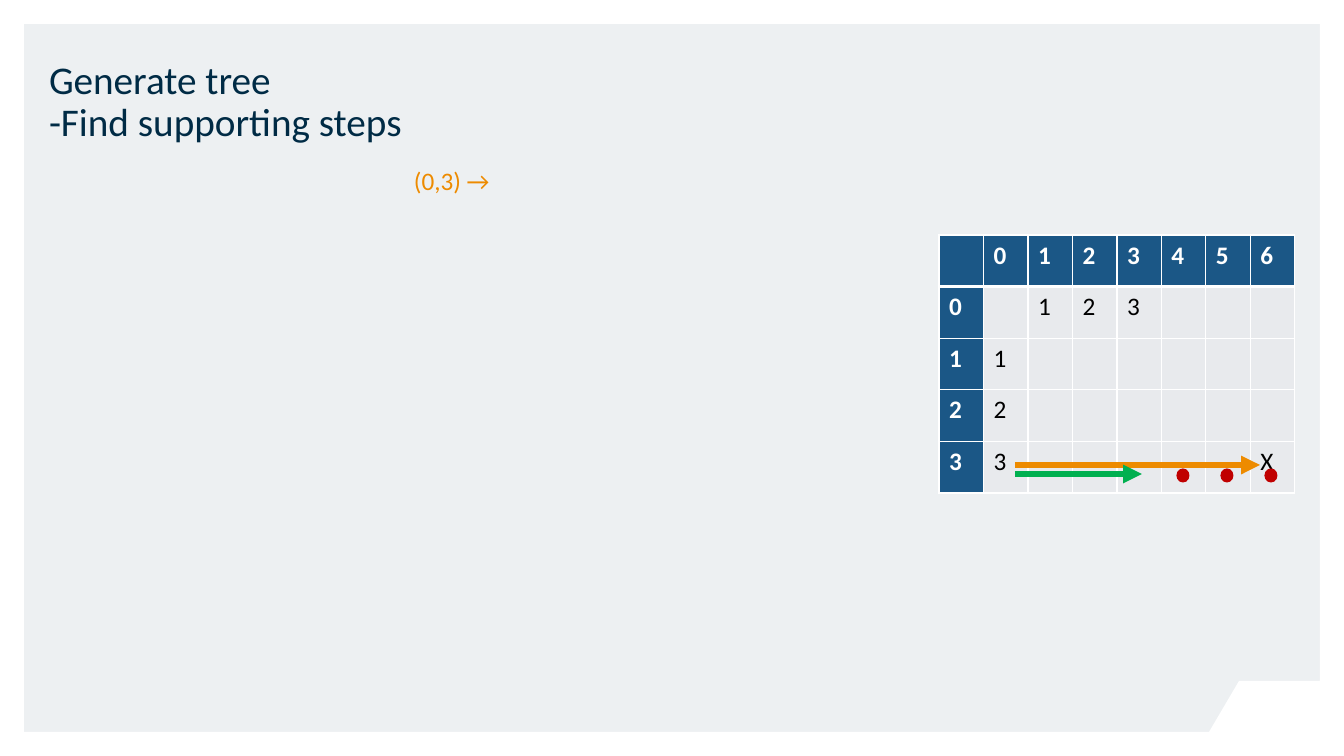
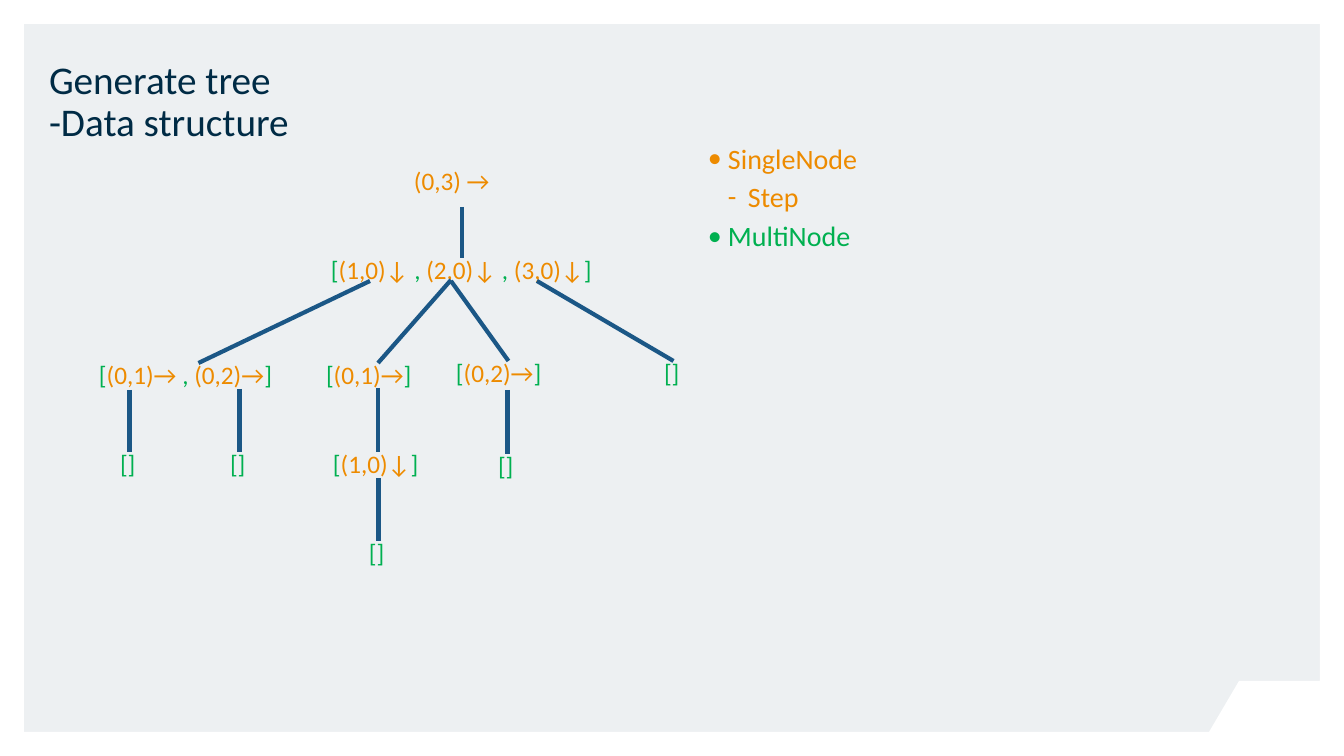
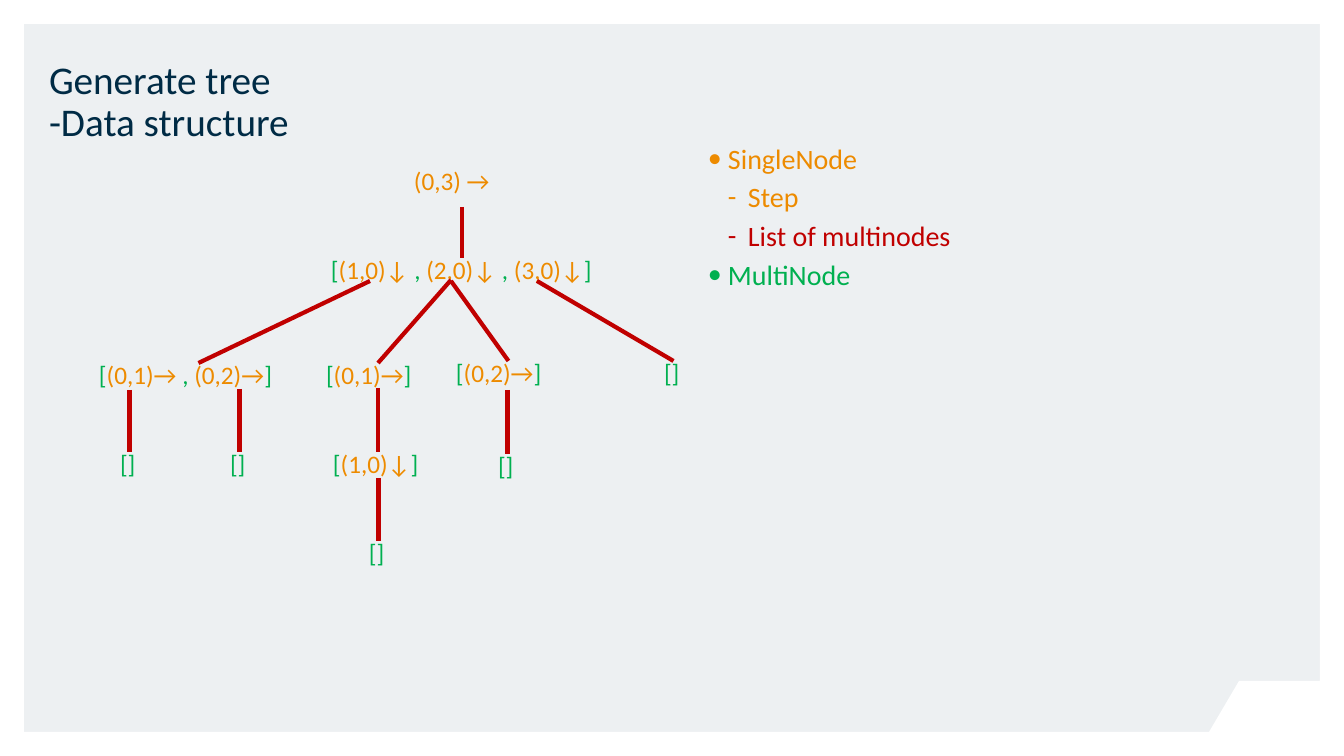
from dataclasses import dataclass

from lxml import etree
from pptx import Presentation
from pptx import util as u
from pptx.dml.color import RGBColor
from pptx.enum import shapes, text
from pptx.oxml import ns

SCALE = 914400 / 100.8  # EMU in one px
SLIDE_W, SLIDE_H = 1344, 756


@dataclass(frozen=True)
class Theme:
    font: str = "Calibri"
    panel: str = "EDF0F2"
    white: str = "FFFFFF"
    black: str = "000000"
    title: str = "002B45"
    blue: str = "1B5786"
    cell: str = "E8EAED"
    orange: str = "ED8B00"
    green: str = "00B050"
    red: str = "C00000"
    title_pt: int = 28
    legend_pt: int = 20
    body_pt: int = 18


T = Theme()

# Tree node: runs split by "|", left, top, width, start of the line leading to it
# (a start without x is straight above the node; no start means the root's bottom)
ROOT = ("(0,3) →", 315, 0, 96)
NODES = [
    ("[|(1,0)↓ |, |(2,0)↓ |, |(3,0)↓|]", 232, 89, 262, None),
    ("[|(0,1)→ |, |(0,2)→|]", 0, 194, 199, (271, 112)),
    ("[|(0,1)→|]", 227, 194, 104, (352, 111)),
    ("[|(0,2)→|]", 357, 192, 105, (352, 112)),
    ("[]", 565, 192, 19, (438, 112)),
    ("[]", 21, 283, 19, (None, 221)),
    ("[]", 131, 283, 19, (None, 220)),
    ("[|(1,0)↓|]", 234, 283, 90, (None, 219)),
    ("[]", 399, 285, 19, (None, 221)),
    ("[]", 270, 372, 19, (None, 309)),
]

GRID = [
    ["", "0", "1", "2", "3", "4", "5", "6"],
    ["0", "", "1", "2", "3", "", "", ""],
    ["1", "1", "", "", "", "", "", ""],
    ["2", "2", "", "", "", "", "", ""],
    ["3", "3", "", "", "", "", "", "X"],
]

SINGLE = ("SingleNode", 0, T.orange)
STEP = ("Step", 1, T.orange)
CHILDREN = ("List of multinodes", 1, T.red)
MULTI = ("MultiNode", 0, T.green)


def px(n):
    return u.Emu(round(n * SCALE))


def rgb(value):
    return RGBColor.from_string(value)


def sub(parent, tag, **attrs):
    return etree.SubElement(parent, ns.qn(tag), attrs)


# ---- Basic parts ----
def add_run(p, words, size, color, bold=False):
    r = p.add_run()
    r.text = words
    r.font.name, r.font.size, r.font.bold = T.font, u.Pt(size), bold
    r.font.color.rgb = rgb(color)


def add_box(s, x, y, w, h, wrap=True):
    sp = s.shapes.add_textbox(px(x), px(y), px(w), px(h))
    tf = sp.text_frame
    tf.margin_left = tf.margin_top = tf.margin_right = tf.margin_bottom = 0
    tf.word_wrap = wrap
    return sp


def space(p, around=3):
    p.line_spacing = 0.9
    p.space_before = p.space_after = u.Pt(around)


def add_line(s, start, end, color, width, arrow=False):
    ends = [px(n) for n in (*start, *end)]
    line = s.shapes.add_connector(shapes.MSO_CONNECTOR.STRAIGHT, *ends)
    line.line.color.rgb = rgb(color)
    line.line.width = u.Pt(width)
    if arrow:
        sub(line.line._get_or_add_ln(), "a:tailEnd", type="triangle")
    sub(line._element.spPr, "a:effectLst")
    return line


# ---- Shared slide: white frame with a cut corner, and the title ----
def add_frame(s):
    fb = s.shapes.build_freeform(24, 24, scale=SCALE)
    fb.add_line_segments([(24, 732), (1209, 732), (1239, 681), (1320, 681), (1320, 24)])
    fb.move_to(0, 0)
    fb.add_line_segments([(SLIDE_W, 0), (SLIDE_W, SLIDE_H), (0, SLIDE_H)])
    sp = fb.convert_to_shape()
    sp.shadow.inherit = False
    sp.fill.solid()
    sp.fill.fore_color.rgb = rgb(T.white)
    sp.line.fill.background()


def add_title(s, lines, x=49, y=59, w=1246, h=86):
    tf = add_box(s, x, y, w, h).text_frame
    tf.vertical_anchor = text.MSO_ANCHOR.BOTTOM
    p = tf.paragraphs[0]
    space(p, 0)
    for i, words in enumerate(lines):
        if i:
            p.add_line_break()
        add_run(p, words, T.title_pt, T.title)


def new_slide(prs, subtitle):
    s = prs.slides.add_slide(prs.slide_layouts[6])
    add_frame(s)
    add_title(s, ["Generate tree", subtitle])
    return s


# ---- Tree ----
def add_node(s, x, y, node):
    words, left, top, w = node[:4]
    sp = add_box(s, x + left, y + top, w, 38, wrap=False)
    p = sp.text_frame.paragraphs[0]
    space(p)
    for part in words.split("|"):
        add_run(p, part, T.body_pt, T.orange if "(" in part else T.green)
    return sp


def add_tree(s, line_color=None, x=99, y=169):
    root = add_node(s, x, y, ROOT)
    if line_color is None:
        return
    for node in NODES:
        sp = add_node(s, x, y, node)
        _, left, top, w, start = node
        middle = left + w / 2
        sx, sy = start or (None, 38)
        if sx is None:
            sx = middle
        line = add_line(s, (x + sx, y + sy), (x + middle, y + top), line_color, 3)
        if start is None:
            line.begin_connect(root, 2)
        line.end_connect(sp, 0)


# ---- Step grid with its arrows and dots ----
def style_cell(cell, words, row, col):
    head = row == 0 or col == 0
    cell.fill.solid()
    cell.fill.fore_color.rgb = rgb(T.blue if head else T.cell)
    if words:
        add_run(cell.text_frame.paragraphs[0], words, T.body_pt,
                T.white if head else T.black, head)
    tcPr = cell._tc.get_or_add_tcPr()
    thick = {("B", 0), ("T", 1)}  # rule under the header row
    for i, side in enumerate("LRTB"):
        width = u.Pt(3 if (side, row) in thick else 1)
        ln = etree.Element(ns.qn("a:ln" + side), w=str(width))
        sub(sub(ln, "a:solidFill"), "a:srgbClr", val=T.white)
        tcPr.insert(i, ln)


def add_grid(s, x=939, y=235, w=356, h=258):
    rows, cols = len(GRID), len(GRID[0])
    table = s.shapes.add_table(rows, cols, px(x), px(y), px(w), px(h)).table
    table.horz_banding = False
    for i, row in enumerate(GRID):
        for j, words in enumerate(row):
            style_cell(table.cell(i, j), words, i, j)
    # Whole step, and the part of it already supported
    for top, end, color in ((230, 321, T.orange), (239, 203, T.green)):
        add_line(s, (x + 76, y + top), (x + end, y + top), color, 4.5, arrow=True)
    # Cells still to support
    for i in range(3):
        dot = s.shapes.add_shape(shapes.MSO_SHAPE.OVAL, px(x + 238 + 44 * i),
                                 px(y + 234), px(12), px(13))
        dot.shadow.inherit = False
        dot.fill.solid()
        dot.fill.fore_color.rgb = dot.line.color.rgb = rgb(T.red)
        dot.line.width = u.Pt(0.75)


# ---- Legend ----
def add_legend(s, items, x=708, y=145, w=587, h=589):
    tf = add_box(s, x, y, w, h).text_frame
    for i, (words, level, color) in enumerate(items):
        p = tf.add_paragraph() if i else tf.paragraphs[0]
        p.level = level
        space(p)
        pPr = p._p.get_or_add_pPr()
        pPr.set("marL", str(px(20 * (level + 1))))
        pPr.set("indent", str(px(-20)))
        sub(pPr, "a:buFont", typeface=T.font)
        sub(pPr, "a:buChar", char="•-"[level])
        add_run(p, words, T.legend_pt, color)


# ---- Slides ----
def steps_slide(prs):
    s = new_slide(prs, "-Find supporting steps")
    add_tree(s)
    add_grid(s)


def structure_slide(prs, line_color, items):
    s = new_slide(prs, "-Data structure")
    add_tree(s, line_color)
    add_legend(s, items)


def main():
    prs = Presentation()
    prs.slide_width, prs.slide_height = px(SLIDE_W), px(SLIDE_H)
    fill = prs.slide_master.background.fill
    fill.solid()
    fill.fore_color.rgb = rgb(T.panel)
    steps_slide(prs)
    structure_slide(prs, T.blue, [SINGLE, STEP, MULTI])
    structure_slide(prs, T.red, [SINGLE, STEP, CHILDREN, MULTI])
    prs.save("out.pptx")


if __name__ == "__main__":
    main()
